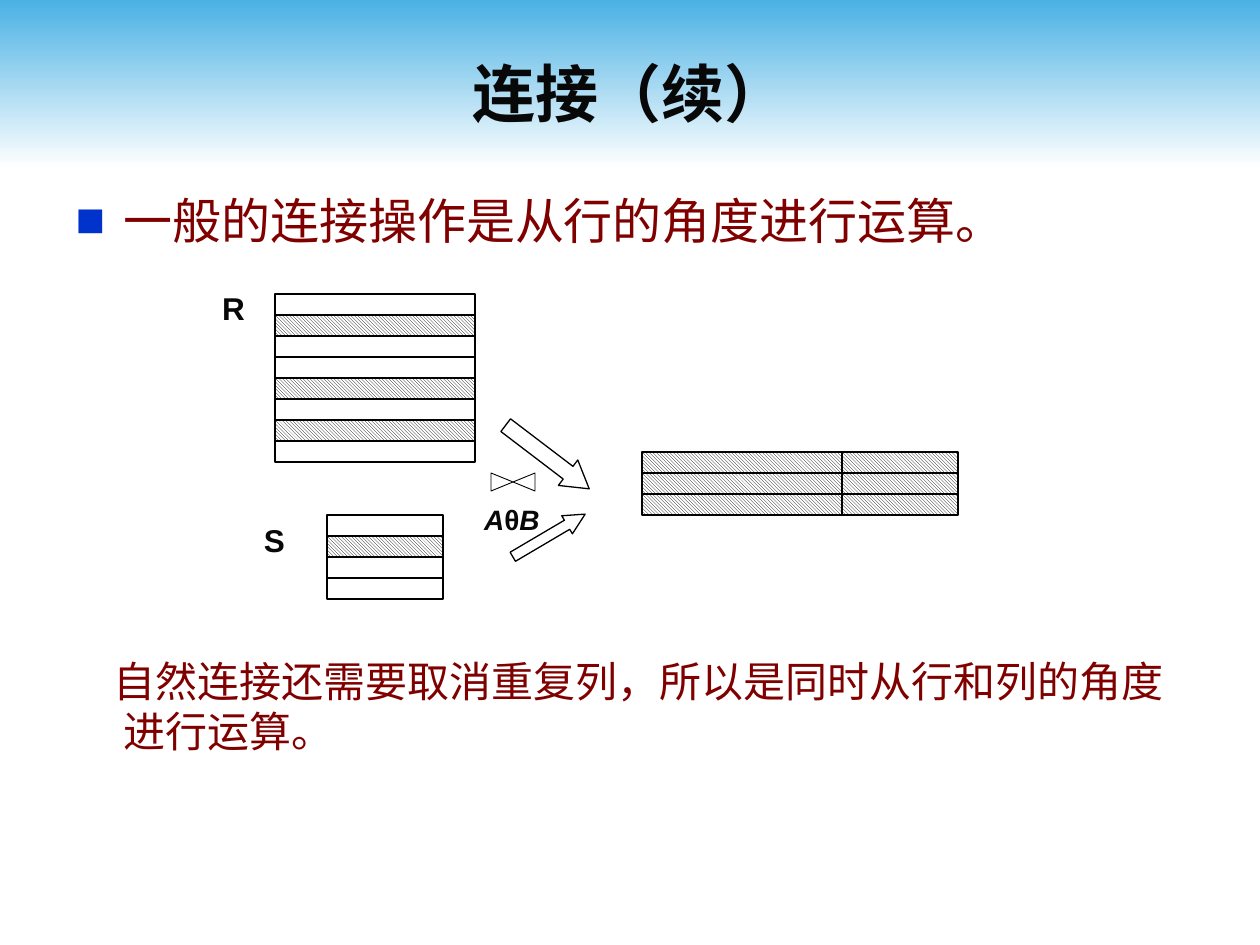
import pptx
import pptx.dml.color
import pptx.enum.dml
import pptx.enum.shapes
import pptx.enum.text
import pptx.oxml
import pptx.oxml.ns
import pptx.util

RGB = pptx.dml.color.RGBColor
SKY = RGB(0x4A, 0xB1, 0xE4)
WHITE = RGB(0xFF, 0xFF, 0xFF)
BLACK = RGB(0, 0, 0)
INK = RGB(0x08, 0x08, 0x08)
MAROON = RGB(0x80, 0, 0)
BULLET = RGB(0, 0x33, 0xCC)
CJK = "Noto Sans CJK SC"
LATIN = "Arial"
ROW = 21
R_WIDTH, S_WIDTH = 200, 116
SHAPE = pptx.enum.shapes.MSO_SHAPE
ALIGN = pptx.enum.text.PP_ALIGN
ANCHOR = pptx.enum.text.MSO_ANCHOR


def px(n):
    return pptx.util.Emu(n * 914400 // 126)


class Deck:
    """Draws the elements of a relational join slide in one style."""

    def __init__(self):
        self.prs = pptx.Presentation()
        self.prs.slide_width, self.prs.slide_height = px(1260), px(945)
        self.s = self.prs.slides.add_slide(self.prs.slide_layouts[1])

    def place(self, sp, x, y, w, h):
        sp.left, sp.top, sp.width, sp.height = px(x), px(y), px(w), px(h)

    def xml(self, parent, tag, **attrs):
        child = pptx.oxml.parse_xml(f'<a:{tag} {pptx.oxml.ns.nsdecls("a")}/>')
        for name, value in attrs.items():
            child.set(name, value)
        parent.append(child)
        return child

    def style(self, p, size, name, color, bold=False, align=ALIGN.CENTER):
        p.alignment = align
        p.font.size, p.font.bold = pptx.util.Pt(size), bold
        p.font.name, p.font.color.rgb = name, color
        self.xml(p._p.pPr.defRPr, "ea", typeface=name)

    def header(self, h):
        sp = self.shape(SHAPE.RECTANGLE, 0, 0, 1260, h)
        sp.line.fill.background()
        sp.fill.gradient()
        sp.fill.gradient_angle = 270
        for stop, color in zip(sp.fill.gradient_stops, (SKY, WHITE)):
            stop.color.rgb = color
        self.s.shapes._spTree.insert(2, sp._element)

    def title(self, text, *box):
        sp = self.s.shapes.title
        self.place(sp, *box)
        tf = sp.text_frame
        tf.text, tf.vertical_anchor = text, ANCHOR.MIDDLE
        self.style(tf.paragraphs[0], 36, CJK, INK, True)

    def body(self, items, *box):
        sp = self.s.placeholders[1]
        self.place(sp, *box)
        tf = sp.text_frame
        tf.auto_size = pptx.enum.text.MSO_AUTO_SIZE.NONE
        tf.text = "\n".join(item[0] for item in items)
        for p, (_, size, before, indent, bullet) in zip(tf.paragraphs, items):
            p.line_spacing, p.space_before = 1.0, pptx.util.Pt(before)
            pPr = p._p.get_or_add_pPr()
            pPr.set("marL", str(px(48)))
            pPr.set("indent", str(px(indent)))
            if bullet:
                self.xml(self.xml(pPr, "buClr"), "srgbClr", val=str(BULLET))
                self.xml(pPr, "buFont", typeface=LATIN)
                self.xml(pPr, "buChar", char=bullet)
            else:
                self.xml(pPr, "buNone")
            self.style(p, size, CJK, MAROON, align=ALIGN.LEFT)

    def shape(self, kind, x, y, w, h, rotation=0, line=0.75):
        sp = self.s.shapes.add_shape(kind, px(x), px(y), px(w), px(h))
        sp.shadow.inherit = False
        sp.rotation = rotation
        sp.fill.solid()
        sp.fill.fore_color.rgb = WHITE
        sp.line.color.rgb, sp.line.width = BLACK, pptx.util.Pt(line)
        return sp

    def relation(self, x, y, w, rows, matched):
        for i in range(rows):
            sp = self.shape(SHAPE.RECTANGLE, x, y + i * ROW, w, ROW)
            if i in matched:
                sp.fill.patterned()
                sp.fill.pattern = pptx.enum.dml.MSO_PATTERN.LIGHT_DOWNWARD_DIAGONAL
                sp.fill.fore_color.rgb, sp.fill.back_color.rgb = BLACK, WHITE

    def arrow(self, x, y, w, h, rotation, head):
        sp = self.shape(SHAPE.RIGHT_ARROW, x, y, w, h, rotation)
        sp.adjustments[1] = head

    def label(self, runs, size, x, y, w, h, anchor=ANCHOR.TOP):
        tf = self.s.shapes.add_textbox(px(x), px(y), px(w), px(h)).text_frame
        tf.word_wrap, tf.vertical_anchor = False, anchor
        p = tf.paragraphs[0]
        self.style(p, size, LATIN, INK, True)
        for text, italic in runs:
            r = p.add_run()
            r.text, r.font.italic = text, italic


def main():
    d = Deck()
    d.header(168)
    d.title("连接（续）", 63, 32, 1134, 120)
    d.body([("一般的连接操作是从行的角度进行运算。", 28, 0, -48, "■"),
            ("自然连接还需要取消重复列，所以是同时从行和列的角度进行运算。", 24, 232, -10, None)],
           63, 184, 1134, 688)
    d.relation(275, 294, R_WIDTH, 8, {1, 4, 6})
    d.relation(327, 515, S_WIDTH, 4, {1})
    d.relation(642, 452, R_WIDTH, 3, range(3))
    d.relation(642 + R_WIDTH, 452, S_WIDTH, 3, range(3))
    d.arrow(495, 441, 105, 32, 37.3, 0.83)
    d.shape(SHAPE.FLOWCHART_COLLATE, 504, 460, 18, 44, 90, 0.5)
    d.label([("A", True), ("θ", False), ("B", True)], 16, 449, 472, 126, 94, ANCHOR.MIDDLE)
    d.arrow(507, 525, 84, 21, 329.5, 1)
    d.label([("R", False)], 18, 202, 283, 63, 63)
    d.label([("S", False)], 18, 243, 515, 63, 63)
    d.prs.save("out.pptx")


if __name__ == "__main__":
    main()
